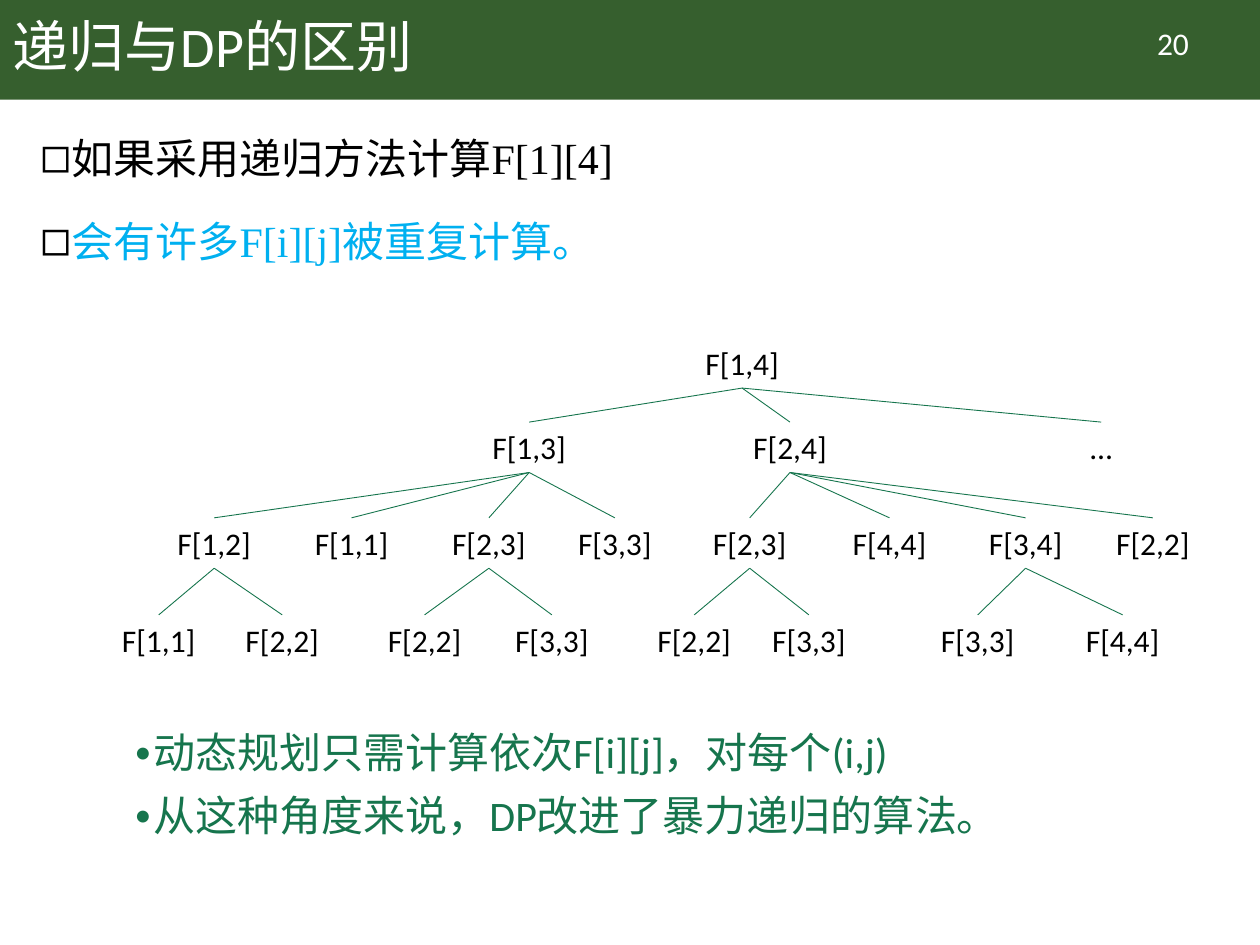
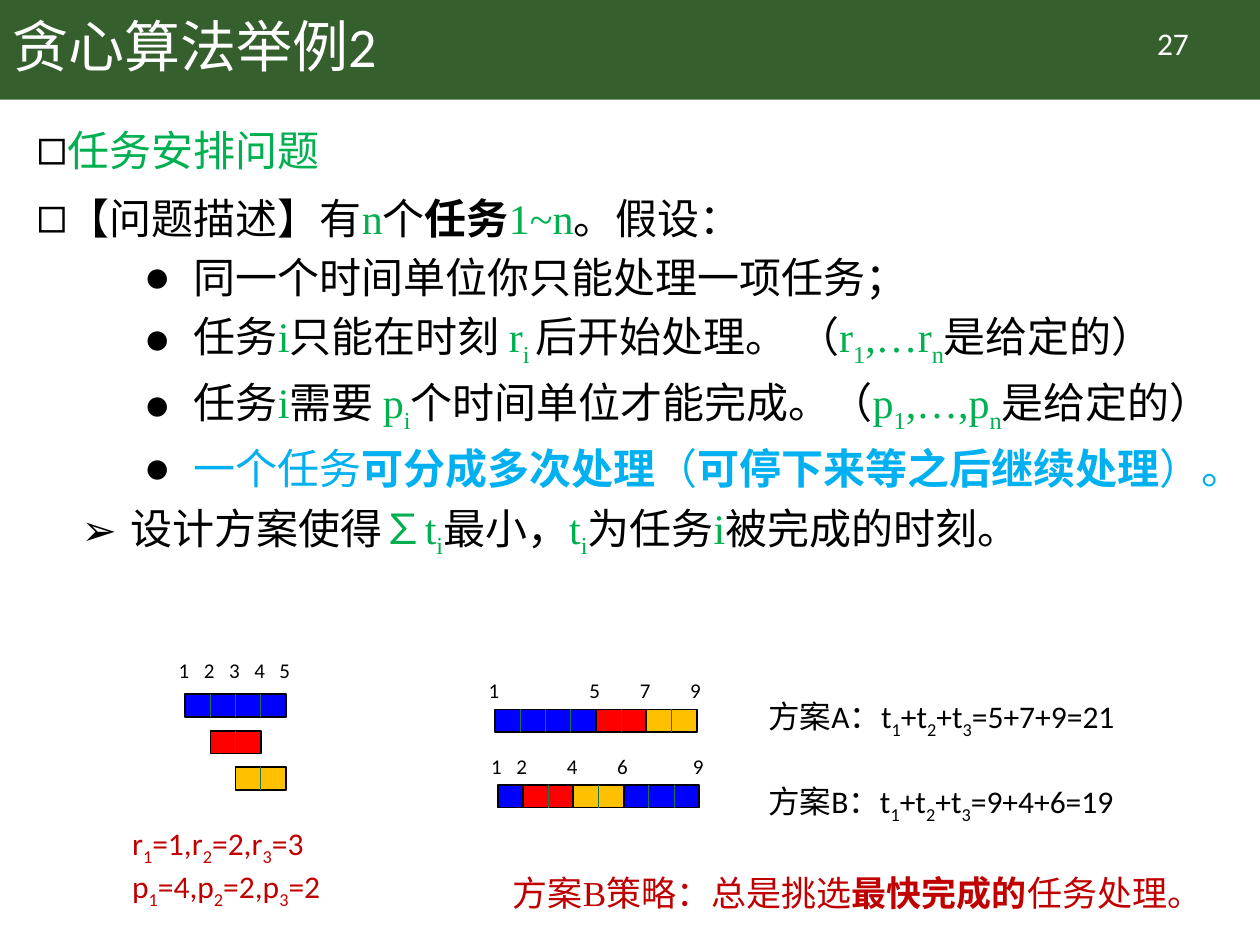
from lxml import etree
from pptx import Presentation
from pptx.dml.color import RGBColor
from pptx.enum.shapes import MSO_CONNECTOR, MSO_SHAPE
from pptx.enum.text import MSO_ANCHOR, PP_ALIGN
from pptx.oxml.ns import qn
from pptx.util import Inches, Pt

RECT = MSO_SHAPE.RECTANGLE
LINE = MSO_CONNECTOR.STRAIGHT
MIDDLE, TOP = MSO_ANCHOR.MIDDLE, MSO_ANCHOR.TOP
LEFT, CENTER = PP_ALIGN.LEFT, PP_ALIGN.CENTER

COLORS = {
    "band": "365F2E", "white": "FFFFFF", "black": "000000",
    "pine": "16754D", "green": "00B050", "sky": "00B0F0",
    "brick": "C00000", "blue": "0000FF", "red": "FF0000", "gold": "FFC000",
}
SANS, SERIF = "Calibri", "Times New Roman"

# Sign, colour, size in percent, left margin, first-line indent, space before
BULLETS = {
    "box": ("◻", "black", 120, 0.25, -0.39, 10),
    "disc": ("●", "black", 100, 1.25, -0.39, 5),
    "arrow": ("➢", "black", 100, 0.75, -0.39, 5),
    "dot": ("•", "pine", 80, 0.19, -0.15, 10),
}

# Call tree: label, centre x, children
TREE = ("F[1,4]", 5.89, [
    ("F[1,3]", 4.2, [
        ("F[1,2]", 1.7, [("F[1,1]", 1.26, []), ("F[2,2]", 2.24, [])]),
        ("F[1,1]", 2.79, []),
        ("F[2,3]", 3.88, [("F[2,2]", 3.37, []), ("F[3,3]", 4.38, [])]),
        ("F[3,3]", 4.88, []),
    ]),
    ("F[2,4]", 6.27, [
        ("F[2,3]", 5.95, [("F[2,2]", 5.51, []), ("F[3,3]", 6.42, [])]),
        ("F[4,4]", 7.06, []),
        ("F[3,4]", 8.14, [("F[3,3]", 7.76, []), ("F[4,4]", 8.91, [])]),
        ("F[2,2]", 9.15, []),
    ]),
    ("…", 8.74, []),
])
TREE_TOPS = (2.68, 3.35, 4.11, 4.88)
NODE_W, NODE_H = 1.2, 0.4
UNIT, BAR_H = 0.2, 0.18


def rgb(name):
    return RGBColor.from_string(COLORS[name])


class Deck:
    def __init__(self):
        self.prs = Presentation()
        self.prs.slide_width, self.prs.slide_height = Inches(10), Inches(7.5)
        self.slide = None

    def page(self, title, number):
        self.slide = self.prs.slides.add_slide(self.prs.slide_layouts[6])
        self.rect(0, 0, 10, 0.79, "band")
        self.text((0, 0, 8.62, 0.79), [title], 32, "white", anchor=MIDDLE, spacing=0.9)
        self.text((8.71, 0.14, 1.2, 0.4), [number], 18, "white", align=CENTER)

    def rect(self, x, y, w, h, fill, line=None):
        shape = self.slide.shapes.add_shape(RECT, Inches(x), Inches(y), Inches(w), Inches(h))
        shape.shadow.inherit = False
        shape.fill.solid()
        shape.fill.fore_color.rgb = rgb(fill)
        if line:
            shape.line.color.rgb = rgb(line)
            shape.line.width = Pt(1)
        else:
            shape.line.fill.background()

    def line(self, x1, y1, x2, y2):
        link = self.slide.shapes.add_connector(
            LINE, Inches(x1), Inches(y1), Inches(x2), Inches(y2))
        link.line.color.rgb = rgb("pine")
        link.line.width = Pt(0.5)
        etree.SubElement(link._element.spPr, qn("a:effectLst"))

    def text(self, box, paras, size, color="black", font=SANS, bullets=None,
             align=LEFT, anchor=TOP, spacing=None):
        """Each paragraph is a string or a list of runs; see runs()."""
        frame = self.slide.shapes.add_textbox(*map(Inches, box)).text_frame
        frame.word_wrap = True
        frame.vertical_anchor = anchor
        for i, runs in enumerate(paras):
            para = frame.paragraphs[0] if i == 0 else frame.add_paragraph()
            para.alignment = align
            if spacing:
                para.line_spacing = spacing
            if bullets:
                self.bullet(para, bullets[i], first=i == 0)
            para.font.size, para.font.name = Pt(size), font
            para.font.color.rgb = rgb(color)
            self.runs(para, [runs] if isinstance(runs, str) else runs)

    def bullet(self, para, kind, first):
        sign, color, size, margin, indent, before = BULLETS[kind]
        if not first:
            para.space_before = Pt(before)
        props = para._p.get_or_add_pPr()
        props.set("marL", str(Inches(margin)))
        props.set("indent", str(Inches(indent)))
        tint = etree.SubElement(props, qn("a:buClr"))
        etree.SubElement(tint, qn("a:srgbClr"), val=COLORS[color])
        etree.SubElement(props, qn("a:buSzPct"), val=str(size * 1000))
        etree.SubElement(props, qn("a:buFont"), typeface=SANS)
        etree.SubElement(props, qn("a:buChar"), char=sign)

    def runs(self, para, parts):
        """A part is a string or (string, colour or None, bold).

        _ lowers the next letter, and a space right after it.
        """
        for part in parts:
            words, color, bold = (part, None, False) if isinstance(part, str) else part
            head, *tails = words.split("_")
            pieces = [(head, False)]
            for tail in tails:
                cut = 2 if tail[1:2] == " " else 1
                pieces += [(tail[:cut], True), (tail[cut:], False)]
            for piece, low in pieces:
                if not piece:
                    continue
                run = para.add_run()
                run.text = piece
                if color:
                    run.font.color.rgb = rgb(color)
                if bold:
                    run.font.bold = True
                if low:
                    run._r.get_or_add_rPr().set("baseline", "-25000")

    def tree(self, node, depth=0):
        label, x, kids = node
        top = TREE_TOPS[depth]
        self.text((x - NODE_W / 2, top, NODE_W, NODE_H), [label], 18, align=CENTER)
        for kid in kids:
            self.line(x, top + NODE_H, kid[1], TREE_TOPS[depth + 1])
            self.tree(kid, depth + 1)

    def bar(self, x, y, units, fill):
        self.rect(x, y, units * UNIT, BAR_H, fill, "black")
        for i in range(1, units):
            self.line(x + i * UNIT, y, x + i * UNIT, y + BAR_H)

    def marks(self, x, y, times):
        """Write time labels; x is the place of time 1."""
        for time in times:
            self.text((x + (time - 1) * UNIT - 0.15, y, 0.3, 0.3), [str(time)], 12)

    def plan(self, x, y, jobs, times):
        """Draw jobs (units, colour) end to end, with times above."""
        self.marks(x, y - 0.3, times)
        for units, fill in jobs:
            self.bar(x, y, units, fill)
            x += units * UNIT


def green(words):
    return (words, "green", False)


def compare(deck):
    deck.page("递归与DP的区别", "20")
    deck.text((0.22, 0.88, 9.57, 1.6),
              ["如果采用递归方法计算F[1][4]", [("会有许多F[i][j]被重复计算。", "sky", False)]],
              24, font=SERIF, bullets=["box"] * 2, spacing=1.3)
    deck.tree(TREE)
    deck.text((0.93, 5.76, 8.1, 1.03),
              ["动态规划只需计算依次F[i][j]，对每个(i,j)",
               "从这种角度来说，DP改进了暴力递归的算法。"],
              24, "pine", bullets=["dot"] * 2, spacing=0.9)


def greedy(deck):
    deck.page("贪心算法举例2", "27")
    body = [
        [green("任务安排问题")],
        ["【问题描述】有", green("n"), "个", ("任务", None, True), green("1~n"), "。假设："],
        "同一个时间单位你只能处理一项任务；",
        ["任务", green("i"), "只能在时刻 ", green("r_i "), "后开始处理。 （",
         green("r_1,…r_n"), "是给定的）"],
        ["任务", green("i"), "需要 ", green("p_i"), "个时间单位才能完成。（",
         green("p_1,…,p_n"), "是给定的）"],
        [("一个任务", "sky", False), ("可分成多次处理", "sky", True), ("（", "sky", False),
         ("可停下来等之后继续处理", "sky", True), ("）。", "sky", False)],
        ["设计方案使得", green("∑t_i"), "最小，", green("t_i"), "为任务", green("i"),
         "被完成的时刻。"],
    ]
    deck.text((0.19, 0.94, 9.57, 4), body, 24, font=SERIF,
              bullets=["box"] * 2 + ["disc"] * 4 + ["arrow"])

    deck.marks(1.47, 5.17, range(1, 6))
    for row, (units, fill) in enumerate([(4, "blue"), (2, "red"), (2, "gold")]):
        deck.bar(1.47 + row * UNIT, 5.51 + row * 0.29, units, fill)
    deck.text((0.95, 6.49, 2.36, 0.71), ["r_1=1,r_2=2,r_3=3", "p_1=4,p_2=2,p_3=2"], 18, "brick")

    deck.plan(3.93, 5.63, [(4, "blue"), (2, "red"), (2, "gold")], (1, 5, 7, 9))
    deck.plan(3.95, 6.23, [(1, "blue"), (2, "red"), (2, "gold"), (3, "blue")], (1, 2, 4, 6, 9))
    for y, total in [(5.48, "方案A：t_1+t_2+t_3=5+7+9=21"), (6.16, "方案B：t_1+t_2+t_3=9+4+6=19")]:
        deck.text((6, y, 3.64, 0.4), [total], 18)
    deck.text((3.97, 6.87, 5.81, 0.44),
              [["方案B策略：总是挑选", ("最快完成的", None, True), "任务处理。"]],
              20, "brick", SERIF)


def main():
    deck = Deck()
    compare(deck)
    greedy(deck)
    deck.prs.save("out.pptx")


if __name__ == "__main__":
    main()
